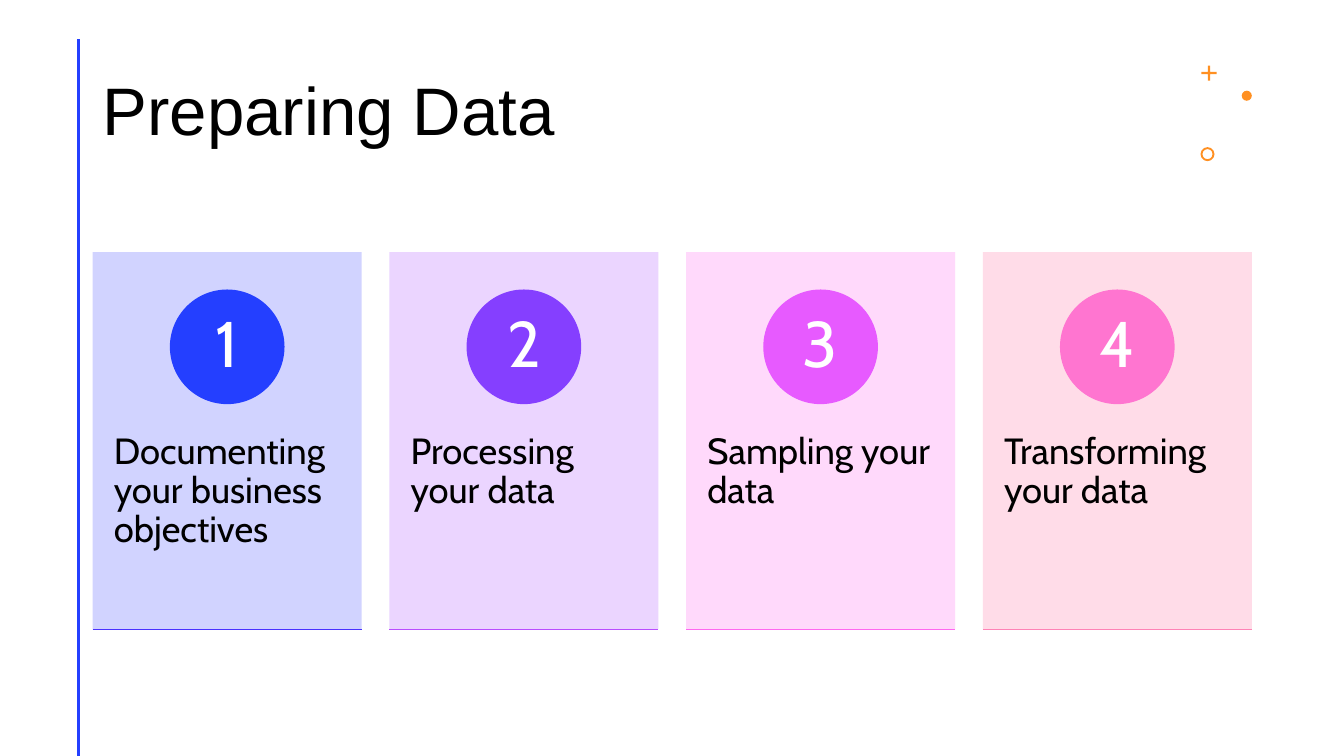
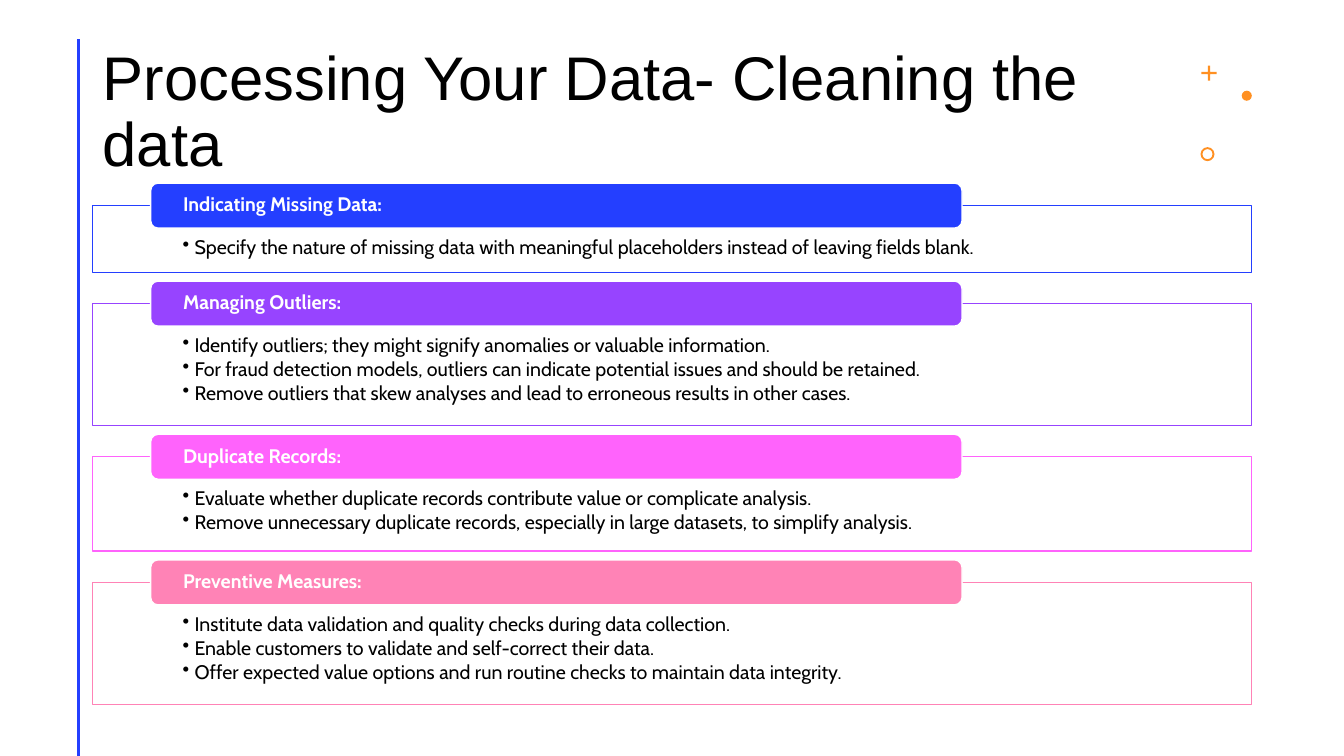
from dataclasses import dataclass
from lxml.etree import SubElement
from pptx import Presentation
from pptx.dml.color import RGBColor
from pptx.enum.shapes import MSO_CONNECTOR, MSO_SHAPE
from pptx.enum.text import MSO_ANCHOR, MSO_AUTO_SIZE, PP_ALIGN
from pptx.oxml.ns import qn
from pptx.util import Pt

STEPS = [
    ("Documenting your business objectives", "CDCFFF", "243FFF", "4A32FF"),
    ("Processing your data", "E9D1FF", "853FFF", "BA4DFF"),
    ("Sampling your data", "FFD5FB", "E75AFF", "FF68F0"),
    ("Transforming your data", "FFD9E6", "FF75D0", "FF83B6"),
]
TOPICS = [
    ("Indicating Missing Data:", "243FFF", [
        "Specify the nature of missing data with meaningful placeholders instead of leaving fields blank.",
    ]),
    ("Managing Outliers:", "9744FF", [
        "Identify outliers; they might signify anomalies or valuable information.",
        "For fraud detection models, outliers can indicate potential issues and should be retained.",
        "Remove outliers that skew analyses and lead to erroneous results in other cases.",
    ]),
    ("Duplicate Records:", "FF63FC", [
        "Evaluate whether duplicate records contribute value or complicate analysis.",
        "Remove unnecessary duplicate records, especially in large datasets, to simplify analysis.",
    ]),
    ("Preventive Measures:", "FF83B6", [
        "Institute data validation and quality checks during data collection.",
        "Enable customers to validate and self-correct their data.",
        "Offer expected value options and run routine checks to maintain data integrity.",
    ]),
]


@dataclass(frozen=True)
class Theme:
    head: str = "Arial"
    body: str = "Cabin"
    ink: str = "000000"
    paper: str = "FFFFFF"
    rule: str = "243FFF"
    spark: str = "FF9022"
    title: int = 48
    long: int = 44
    digit: int = 46
    label: int = 26
    text: int = 14


T = Theme()
LEFT, WIDE = 66.2, 828
DECOR = [
    (MSO_SHAPE.CROSS, (858.2, 46.8, 10.8, 10.8), 0.43),
    (MSO_SHAPE.OVAL, (887, 64.8, 7.2, 7.2), None),
    (MSO_SHAPE.DONUT, (857.5, 105.1, 10, 10), 0.14),
]


def apply(item, spec):
    for name, value in spec.items():
        setattr(item, name, value)


def place(item, box):
    apply(item, dict(zip(("left", "top", "width", "height"), map(Pt, box))))


def write(shape, lines, size, color, font=T.body, bold=False, pad=(0, 0, 0, 0),
          anchor=MSO_ANCHOR.TOP, align=PP_ALIGN.LEFT, mark=False):
    frame = shape.text_frame
    sides = ("margin_left", "margin_top", "margin_right", "margin_bottom")
    apply(frame, {"word_wrap": True, "auto_size": MSO_AUTO_SIZE.NONE,
                  "vertical_anchor": anchor, **dict(zip(sides, map(Pt, pad)))})
    for at, line in enumerate(lines):
        para = frame.add_paragraph() if at else frame.paragraphs[0]
        apply(para, {"alignment": align, "line_spacing": 0.9,
                     "space_before": Pt(0), "space_after": Pt(2.1 if mark else 0)})
        if mark:
            props = para._p.get_or_add_pPr()
            props.set("marL", str(Pt(8.6)))
            props.set("indent", str(-Pt(8.6)))
            SubElement(props, qn("a:buChar")).set("char", "•")
        run = para.add_run()
        run.text = line
        apply(run.font, {"name": font, "size": Pt(size), "bold": bold})
        run.font.color.rgb = RGBColor.from_string(color)


def draw(slide, kind, box, fill, line=None, alpha=None):
    shape = slide.shapes.add_shape(kind, *map(Pt, box))
    shape.shadow.inherit = False
    shape.fill.solid()
    shape.fill.fore_color.rgb = RGBColor.from_string(fill)
    if alpha:
        tone = shape.fill._xPr.find(qn("a:solidFill"))[0]
        SubElement(tone, qn("a:alpha")).set("val", str(alpha * 1000))
    if line:
        shape.line.color.rgb = RGBColor.from_string(line)
        shape.line.width = Pt(1)
    else:
        shape.line.fill.background()
    return shape


def stroke(slide, ends, color, width):
    line = slide.shapes.add_connector(MSO_CONNECTOR.STRAIGHT, *map(Pt, ends))
    line.line.color.rgb = RGBColor.from_string(color)
    line.line.width = Pt(width)
    SubElement(line._element.spPr, qn("a:effectLst"))


def start(deck, title, size):
    slide = deck.slides.add_slide(deck.slide_layouts[5])
    head = slide.shapes.title
    place(head, (LEFT, 28.8, 774.7, 104.4))
    write(head, [title], size, T.ink, T.head, pad=(7.2, 3.6, 7.2, 3.6),
          anchor=MSO_ANCHOR.MIDDLE)
    stroke(slide, (56.2, 28, 56.2, 540), T.rule, 2)
    for kind, box, bend in DECOR:
        shape = draw(slide, kind, box, T.spark)
        if bend:
            shape.adjustments[0] = bend
    return slide


def cards(slide):
    width, top, high, disc = 192.2, 180, 269.5, 80.9
    step = (WIDE - width) / (len(STEPS) - 1)
    for at, (label, pale, deep, edge) in enumerate(STEPS):
        left = LEFT + at * step
        card = draw(slide, MSO_SHAPE.RECTANGLE, (left, top, width, high), pale, alpha=90)
        write(card, [label], T.label, T.ink, pad=(15.2, 129, 15.2, 0))
        badge = draw(slide, MSO_SHAPE.OVAL,
                     (left + (width - disc) / 2, top + 27.3, disc, disc), deep, deep)
        write(badge, [str(at + 1)], T.digit, T.paper,
              anchor=MSO_ANCHOR.MIDDLE, align=PP_ALIGN.CENTER)
        stroke(slide, (left, top + high, left + width, top + high), edge, 1)


def panels(slide):
    top, gap, tab = 146.9, 22.3, 32.2
    for name, color, lines in TOPICS:
        high = 28 + 19.7 * len(lines)
        panel = draw(slide, MSO_SHAPE.RECTANGLE, (LEFT, top, WIDE, high), T.paper, color)
        write(panel, lines, T.text, T.ink, pad=(64.2, 22.8, 64.2, 8), mark=True)
        head = draw(slide, MSO_SHAPE.ROUNDED_RECTANGLE,
                    (LEFT + 41.4, top - tab / 2, WIDE * 0.7, tab), color, T.paper)
        write(head, [name], T.text, T.paper, bold=True, pad=(21.6, 0, 21.6, 0),
              anchor=MSO_ANCHOR.MIDDLE)
        top += high + gap


def main():
    deck = Presentation()
    apply(deck, {"slide_width": Pt(960), "slide_height": Pt(540)})
    cards(start(deck, "Preparing Data", T.title))
    panels(start(deck, "Processing Your Data- Cleaning the data", T.long))
    deck.save("out.pptx")


if __name__ == "__main__":
    main()
